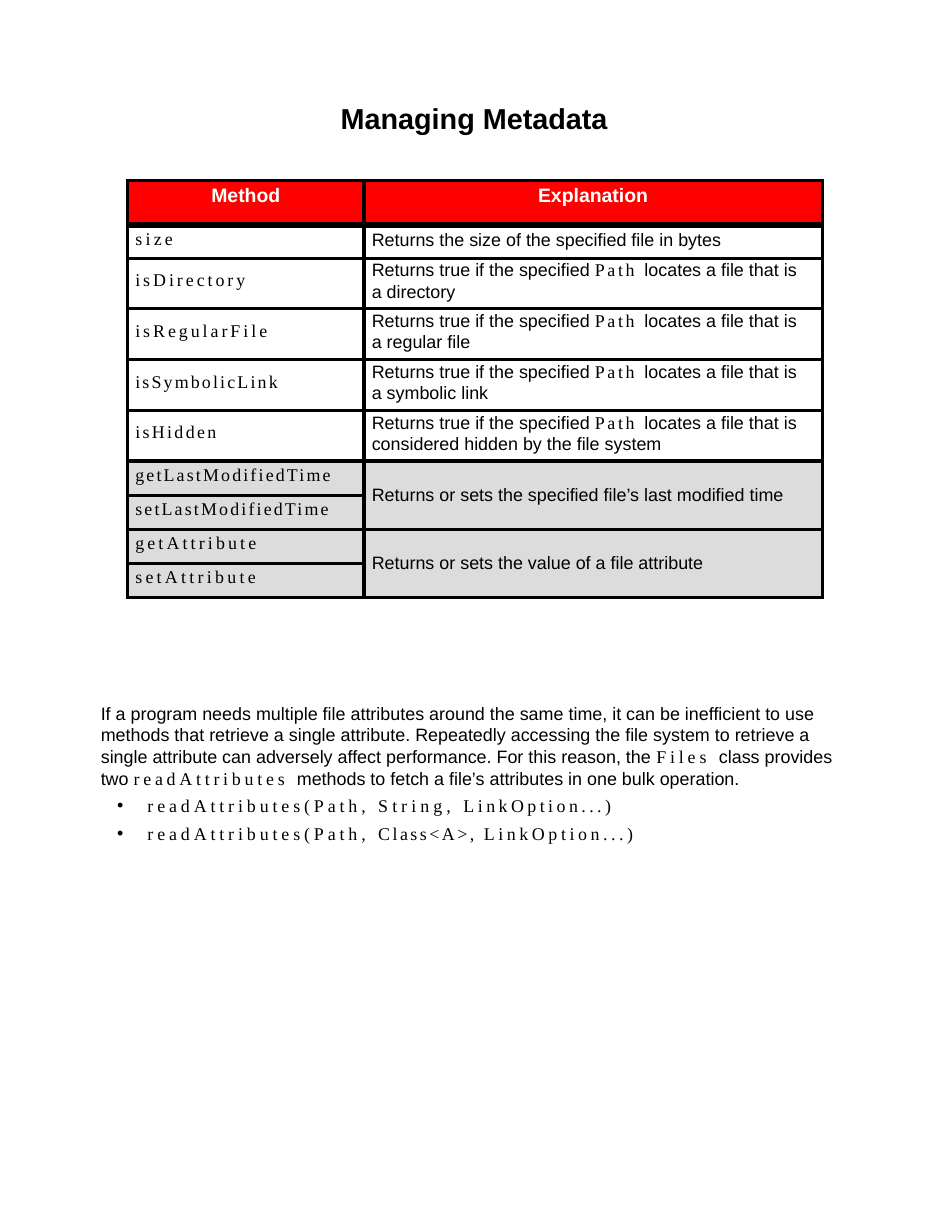
from lxml.etree import SubElement
from pptx import Presentation
from pptx.dml.color import RGBColor
from pptx.enum.text import MSO_ANCHOR, MSO_AUTO_SIZE, PP_ALIGN
from pptx.oxml.ns import qn
from pptx.util import Pt

SANS, CODE = "Arial", "Times New Roman"
BLACK, WHITE, RED, GREY = "000000", "FFFFFF", "FF0000", "DCDCDC"

# A run is plain text, or (code text, letter spacing in points).
TITLE = "Managing Metadata"
HEADER = ("Method", "Explanation")
PATH_TEST = ["Returns true if the specified ", ("Path ", 1.7)]
# method, letter spacing, explanation (None: shared with the row above), height, method top margin
ROWS = [
    ("size", 2.1, ["Returns the size of the specified file in bytes"], 21.5, 3),
    ("isDirectory", 1.9, PATH_TEST + ["locates a file that is a directory"], 32.6, 8),
    ("isRegularFile", 1.9, PATH_TEST + ["locates a file that is a regular file"], 32.6, 8),
    ("isSymbolicLink", 1.4, PATH_TEST + ["locates a file that is a symbolic link"], 32.6, 8),
    ("isHidden", 1.5, PATH_TEST + ["locates a file that is considered hidden by the file system"], 32.6, 8),
    ("getLastModifiedTime", 1.4, ["Returns or sets the specified file’s last modified time"], 21.9, 3),
    ("setLastModifiedTime", 1.4, None, 21.9, 3),
    ("getAttribute", 2, ["Returns or sets the value of a file attribute"], 21.9, 3),
    ("setAttribute", 2.1, None, 21.9, 3),
]
HEADER_HEIGHT = 28.5
COLUMNS = (152, 294.5)
FIRST_GREY_ROW = 6

INTRO = [
    "If a program needs multiple file attributes around the same time, it can be inefficient "
    "to use methods that retrieve a single attribute. Repeatedly accessing the file system to "
    "retrieve a single attribute can adversely affect performance. For this reason, the ",
    ("Files ", 2.5), "class provides two ", ("readAttributes ", 2.4),
    "methods to fetch a file’s attributes in one bulk operation.",
]
BULLETS = [
    [("readAttributes(Path, ", 2.5), ("String, ", 2.6), ("LinkOption...)", 2.2)],
    [("readAttributes(Path, ", 2.5), ("Class<A>, ", 1.6), ("LinkOption...)", 2.3)],
]


def rgb(color):
    return RGBColor.from_string(color)


def add_runs(p, runs, size=11.5, color=BLACK, bold=False):
    for run in runs:
        text, spacing = (run, 0) if isinstance(run, str) else run
        r = p.add_run()
        r.text = text
        r.font.name = CODE if spacing else SANS
        r.font.size = Pt(size)
        r.font.bold = bold
        r.font.color.rgb = rgb(color)
        if spacing:
            r.font._element.set("spc", str(round(spacing * 100)))


def place(sp, left, top, width, height):
    sp.left, sp.top, sp.width, sp.height = Pt(left), Pt(top), Pt(width), Pt(height)
    tf = sp.text_frame
    tf.margin_left = tf.margin_right = tf.margin_bottom = 0
    tf.margin_top = Pt(1.3)
    tf.word_wrap = True
    tf.auto_size = MSO_AUTO_SIZE.NONE
    tf.vertical_anchor = MSO_ANCHOR.TOP
    return tf


def set_list_level(p, indent, hanging, bullet=None):
    pPr = p._p.get_or_add_pPr()
    pPr.set("marL", str(Pt(indent)))
    pPr.set("indent", str(Pt(-hanging)))
    if bullet:
        SubElement(pPr, qn("a:buFont"), typeface=SANS)
        SubElement(pPr, qn("a:buChar"), char=bullet)
        tabs = SubElement(pPr, qn("a:tabLst"))
        SubElement(tabs, qn("a:tab"), pos=str(Pt(indent)), algn="l")
    else:
        SubElement(pPr, qn("a:buNone"))


def style_cell(cell, fill, top_margin, line_widths):
    cell.margin_left, cell.margin_right = Pt(5), Pt(14)
    cell.margin_top, cell.margin_bottom = Pt(top_margin), 0
    tcPr = cell._tc.get_or_add_tcPr()
    for side, width in zip("LRTB", line_widths):
        ln = SubElement(tcPr, qn(f"a:ln{side}"), w=str(Pt(width)))
        SubElement(SubElement(ln, qn("a:solidFill")), qn("a:srgbClr"), val=BLACK)
    if fill:
        cell.fill.solid()
        cell.fill.fore_color.rgb = rgb(fill)
    else:
        cell.fill.background()


def add_method_table(slide):
    heights = [HEADER_HEIGHT] + [row[3] for row in ROWS]
    table = slide.shapes.add_table(len(heights), len(COLUMNS), Pt(82), Pt(116),
                                   Pt(sum(COLUMNS)), Pt(sum(heights))).table
    table.first_row = table.horz_banding = False
    for column, width in zip(table.columns, COLUMNS):
        column.width = Pt(width)
    for row, height in zip(table.rows, heights):
        row.height = Pt(height)

    for c, heading in enumerate(HEADER):
        cell = table.cell(0, c)
        style_cell(cell, RED, 3, (2.25, 2.25, 2.25, 4.5))
        cell.margin_left = cell.margin_right = 0
        p = cell.text_frame.paragraphs[0]
        p.alignment = PP_ALIGN.CENTER
        add_runs(p, [heading], 12.5, WHITE, True)

    for i, (method, spacing, explanation, _, top_margin) in enumerate(ROWS, 1):
        fill = GREY if i >= FIRST_GREY_ROW else None
        lines = (2.25, 2.25, 4.5 if i == 1 else 2.25, 2.25)
        name_cell, text_cell = table.cell(i, 0), table.cell(i, 1)
        style_cell(name_cell, fill, top_margin, lines)
        style_cell(text_cell, fill, 1 if top_margin == 8 else 3.5, lines)
        add_runs(name_cell.text_frame.paragraphs[0], [(method, spacing)])
        if explanation is None:
            upper = table.cell(i - 1, 1)
            upper.merge(text_cell)
            upper.margin_top = 0
            upper.vertical_anchor = MSO_ANCHOR.MIDDLE
        else:
            p = text_cell.text_frame.paragraphs[0]
            p.line_spacing = 1.05 if top_margin == 8 else 1.0
            add_runs(p, explanation)


def add_body(sp):
    tf = place(sp, 64.8, 450, 485, 94)
    p = tf.paragraphs[0]
    p.space_before = Pt(0)
    p.line_spacing = 1.01
    set_list_level(p, 0, 0)
    add_runs(p, INTRO)
    for runs in BULLETS:
        p = tf.add_paragraph()
        p.space_before = Pt(4)
        set_list_level(p, 30, 19.5, "•")
        add_runs(p, runs)


def main():
    prs = Presentation()
    prs.slide_width, prs.slide_height = Pt(612), Pt(792)
    slide = prs.slides.add_slide(prs.slide_layouts[1])
    title, body = slide.placeholders

    p = place(title, 219, 63.4, 175, 24.5).paragraphs[0]
    p.alignment = PP_ALIGN.LEFT
    add_runs(p, [TITLE], 18.5, bold=True)

    add_method_table(slide)
    add_body(body)
    prs.save("out.pptx")


if __name__ == "__main__":
    main()
